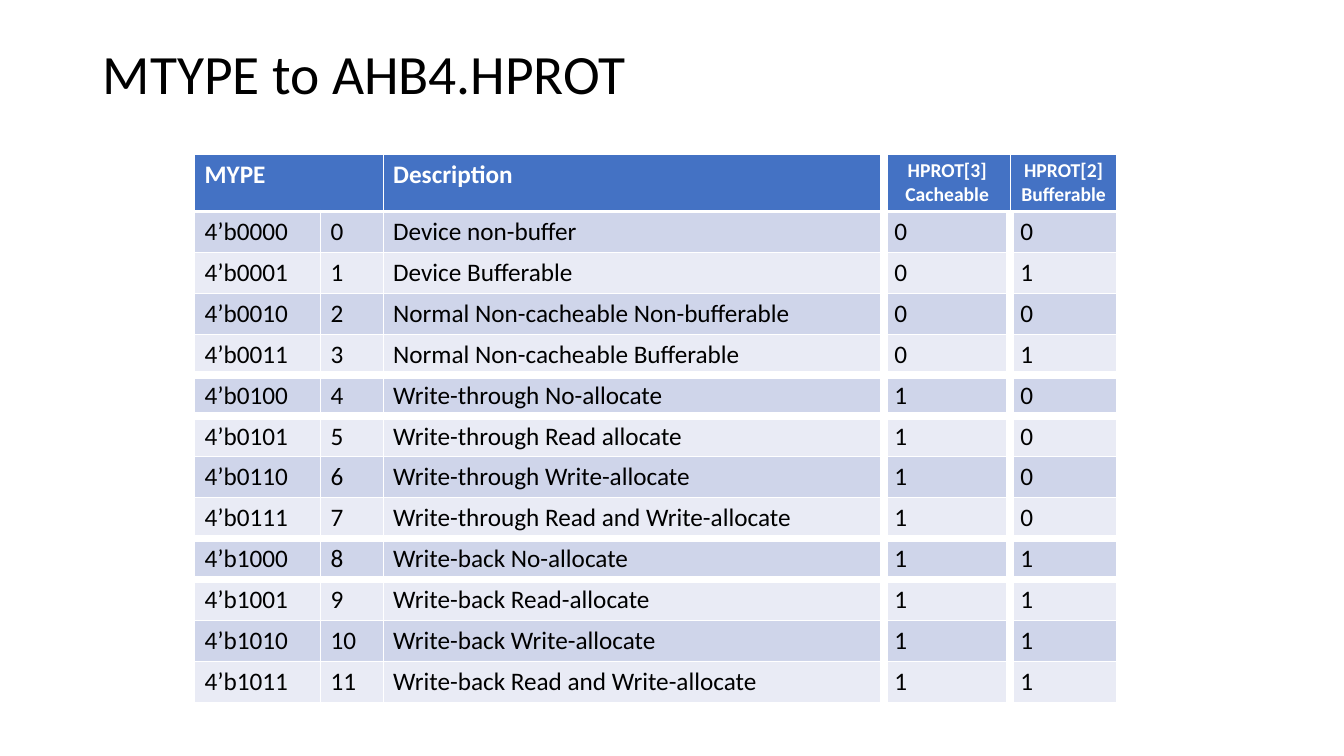
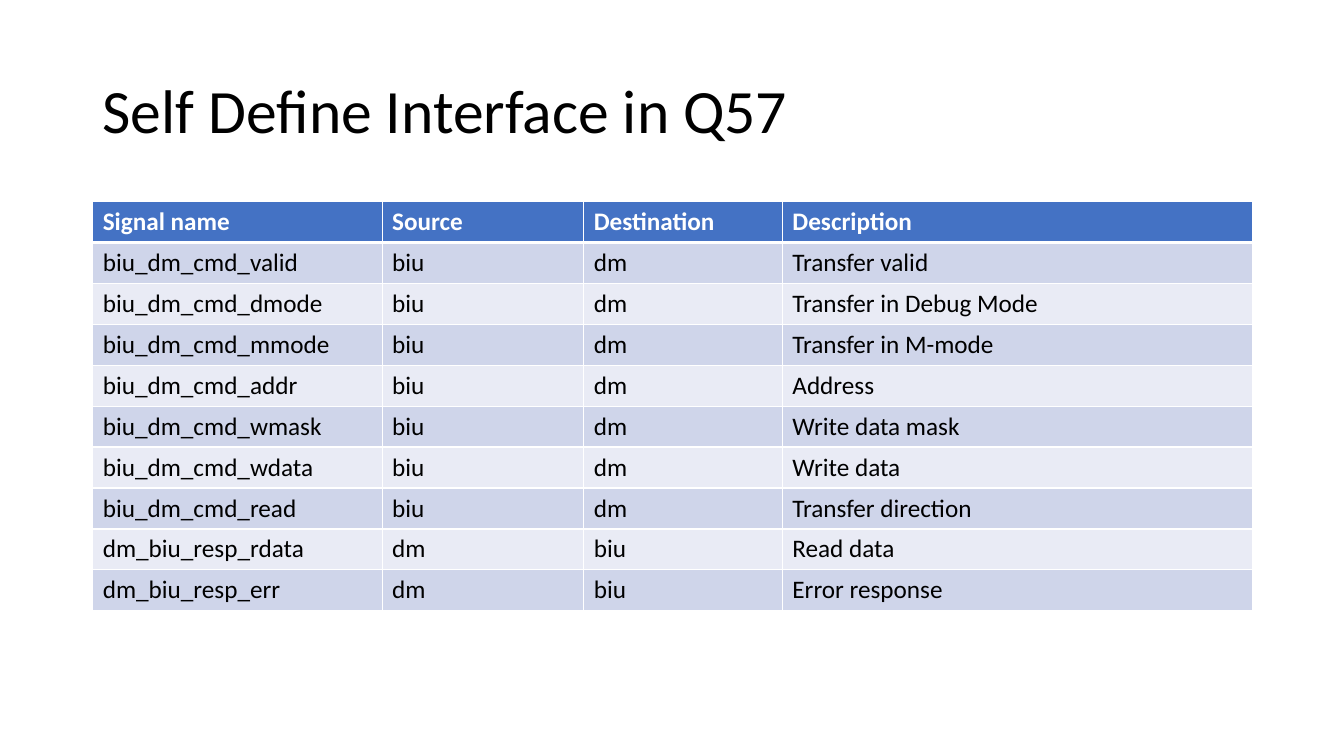
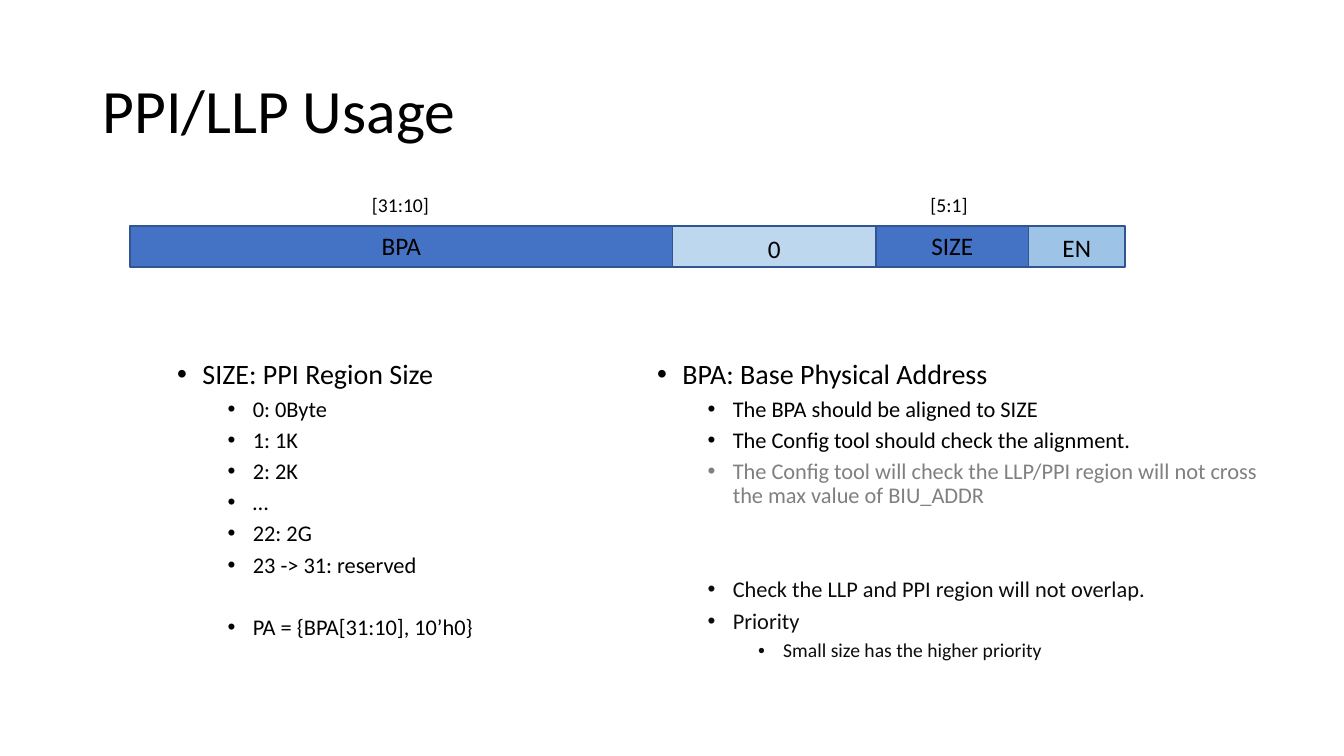
import pptx
import pptx.dml.color
import pptx.enum.shapes
import pptx.enum.text
import pptx.oxml
import pptx.oxml.ns
import pptx.util
from pptx.util import Inches

FONT = "Calibri"
BLACK, WHITE, GREY, NEAR_BLACK = "000000", "FFFFFF", "808080", "0D0D0D"
BLUE, OUTLINE, PALE_BLUE, LIGHT_BLUE = "4472C4", "325491", "BDD7EE", "9DC3E6"
BANDS = ("CFD5EA", "E9EBF5")
LEFT, CONTENT_WIDTH = 0.92, 11.5
ALIGN = pptx.enum.text.PP_ALIGN
ANCHOR = pptx.enum.text.MSO_ANCHOR
THIN, HEADER_RULE, THICK = 1, 3, 6

# Bullet levels: indent, size, space before
LEVELS = ((0.25, 20, 10), (0.75, 16, 5), (1.25, 14, 5))

MTYPES = [
    ("Device non-buffer", "0", "0"),
    ("Device Bufferable", "0", "1"),
    ("Normal Non-cacheable Non-bufferable", "0", "0"),
    ("Normal Non-cacheable Bufferable", "0", "1"),
    ("Write-through No-allocate", "1", "0"),
    ("Write-through Read allocate", "1", "0"),
    ("Write-through Write-allocate", "1", "0"),
    ("Write-through Read and Write-allocate", "1", "0"),
    ("Write-back No-allocate", "1", "1"),
    ("Write-back Read-allocate", "1", "1"),
    ("Write-back Write-allocate", "1", "1"),
    ("Write-back Read and Write-allocate", "1", "1"),
]

SIGNALS = [
    ("Signal name", "Source", "Destination", "Description"),
    ("biu_dm_cmd_valid", "biu", "dm", "Transfer valid"),
    ("biu_dm_cmd_dmode", "biu", "dm", "Transfer in Debug Mode"),
    ("biu_dm_cmd_mmode", "biu", "dm", "Transfer in M-mode"),
    ("biu_dm_cmd_addr", "biu", "dm", "Address"),
    ("biu_dm_cmd_wmask", "biu", "dm", "Write data mask"),
    ("biu_dm_cmd_wdata", "biu", "dm", "Write data"),
    ("biu_dm_cmd_read", "biu", "dm", "Transfer direction"),
    ("dm_biu_resp_rdata", "dm", "biu", "Read data"),
    ("dm_biu_resp_err", "dm", "biu", "Error response"),
]

# Register fields: name, width, fill, text drop, bit range, bit range offset
FIELDS = [
    ("BPA", 5.38, BLUE, -0.01, "[31:10]", 2.3),
    ("0", 2.02, PALE_BLUE, 0.02, "", 0),
    ("SIZE", 1.51, BLUE, 0, "[5:1]", 0.44),
    ("EN", 0.96, LIGHT_BLUE, 0.01, "", 0),
]

# Bullets: level, text, colour, extra points above
SIZE_NOTES = [
    (0, "SIZE: PPI Region Size", BLACK, 0),
    (1, "0: 0Byte", BLACK, 0),
    (1, "1: 1K", BLACK, 0),
    (1, "2: 2K", BLACK, 0),
    (1, "…", BLACK, 0),
    (1, "22: 2G", BLACK, 0),
    (1, "23 -> 31: reserved", BLACK, 0),
    (1, "PA = {BPA[31:10], 10’h0}", BLACK, 22.5),
]
BPA_NOTES = [
    (0, "BPA: Base Physical Address", BLACK, 0),
    (1, "The BPA should be aligned to SIZE", BLACK, 0),
    (1, "The Config tool should check the alignment.", BLACK, 0),
    (1, "The Config tool will check the LLP/PPI region will not cross "
        "the max value of BIU_ADDR", GREY, 0),
    (1, "Check the LLP and PPI region will not overlap.", NEAR_BLACK, 45),
    (1, "Priority", NEAR_BLACK, 0),
    (2, "Small size has the higher priority", NEAR_BLACK, 0),
]


def rgb(color):
    return pptx.dml.color.RGBColor.from_string(color)


def style(p, size, color=BLACK, bold=False, align=None):
    p.alignment = align
    for r in p.runs:
        r.font.name = FONT
        r.font.size = pptx.util.Pt(size)
        r.font.bold = bold
        r.font.color.rgb = rgb(color)


def add_text(s, x, y, w, h, text, size, anchor=ANCHOR.TOP):
    tf = s.shapes.add_textbox(Inches(x), Inches(y), Inches(w), Inches(h)).text_frame
    tf.word_wrap = True
    tf.vertical_anchor = anchor
    tf.text = text
    p = tf.paragraphs[0]
    p.line_spacing = 0.9
    style(p, size)


def add_slide(prs, title, title_height=1.45, title_size=44):
    s = prs.slides.add_slide(prs.slide_layouts[6])
    add_text(s, LEFT, 0.4, CONTENT_WIDTH, title_height, title, title_size, ANCHOR.MIDDLE)
    return s


def set_borders(cell, **widths):
    """Draw white borders; widths in points by side (L, R, T, B)."""
    tcPr = cell._tc.get_or_add_tcPr()
    for side in "LRTB":
        tcPr.append(pptx.oxml.parse_xml(
            f'<a:ln{side} {pptx.oxml.ns.nsdecls("a")} w="{pptx.util.Pt(widths[side])}">'
            f'<a:solidFill><a:srgbClr val="{WHITE}"/></a:solidFill></a:ln{side}>'))


def add_table(s, x, y, col_widths, row_heights, rows, sizes, aligns, h_rules, v_rule):
    """Banded table; sizes and aligns style the header, h_rules maps a row edge
    and v_rule(row, edge) a column edge to its border width."""
    table = s.shapes.add_table(len(rows), len(col_widths), Inches(x), Inches(y),
                               Inches(sum(col_widths)), Inches(sum(row_heights))).table
    for column, width in zip(table.columns, col_widths):
        column.width = Inches(width)
    for i, (row, height) in enumerate(zip(rows, row_heights)):
        table.rows[i].height = Inches(height)
        for j, text in enumerate(row):
            cell = table.cell(i, j)
            cell.text_frame.text = text
            for p in cell.text_frame.paragraphs:
                if i == 0:
                    style(p, sizes[j], WHITE, True, aligns[j])
                else:
                    style(p, 18)
            set_borders(cell, L=v_rule(i, j), R=v_rule(i, j + 1),
                        T=h_rules.get(i, THIN), B=h_rules.get(i + 1, THIN))
            cell.fill.solid()
            cell.fill.fore_color.rgb = rgb(BANDS[(i - 1) % 2] if i else BLUE)
    return table


def mtype_slide(prs):
    s = add_slide(prs, "MTYPE to AHB4.HPROT", 0.71, 39.6)
    rows = [("MYPE", "", "Description", "HPROT[3]\nCacheable", "HPROT[2]\nBufferable")]
    rows += [(f"4’b{n:04b}", str(n), *row) for n, row in enumerate(MTYPES)]
    h_rules = {1: HEADER_RULE, **dict.fromkeys((5, 6, 9, 10), THICK)}
    row_heights = [0.57] + [4.87 / len(MTYPES)] * len(MTYPES)
    table = add_table(
        s, 1.93, 1.53, [1.25, 0.62, 4.97, 1.25, 1.06], row_heights, rows,
        [18, 18, 18, 14, 14], [None] * 3 + [ALIGN.CENTER] * 2, h_rules,
        lambda i, edge: THICK if edge == 3 or (edge == 4 and i) else THIN)
    table.cell(0, 0).merge(table.cell(0, 1))


def signal_slide(prs):
    s = add_slide(prs, "Self Define Interface in Q57")
    add_table(s, LEFT, 2, [2.87, 2, 1.97, 4.66], [4.06 / len(SIGNALS)] * len(SIGNALS),
              SIGNALS, [18] * 4, [None] * 4, {1: HEADER_RULE}, lambda i, edge: THIN)


def add_register(s, x, y, h):
    """Row of register fields, with bit ranges above some of them."""
    for name, w, fill, drop, bits, bits_offset in FIELDS:
        sp = s.shapes.add_shape(pptx.enum.shapes.MSO_SHAPE.RECTANGLE,
                                Inches(x), Inches(y), Inches(w), Inches(h))
        sp.shadow.inherit = False
        sp.fill.solid()
        sp.fill.fore_color.rgb = rgb(fill)
        sp.line.color.rgb = rgb(OUTLINE)
        sp.line.width = pptx.util.Pt(1)
        tf = sp.text_frame
        tf.vertical_anchor = ANCHOR.TOP
        tf.margin_top = Inches(0.05 + drop)
        tf.margin_bottom = 0
        tf.text = name
        style(tf.paragraphs[0], 18, align=ALIGN.CENTER)
        if bits:
            add_text(s, x + bits_offset, y - 0.35, 0.79, 0.41, bits, 14)
        x += w


def add_bullets(s, x, y, w, h, notes):
    tf = s.shapes.add_textbox(Inches(x), Inches(y), Inches(w), Inches(h)).text_frame
    tf.word_wrap = True
    tf.text = "\n".join(text for _, text, _, _ in notes)
    for p, (level, _, color, gap) in zip(tf.paragraphs, notes):
        indent, size, before = LEVELS[level]
        p.level = level
        p.line_spacing = 0.9
        p.space_before = pptx.util.Pt(before + gap)
        style(p, size, color)
        pPr = p._p.get_or_add_pPr()
        pPr.set("marL", str(Inches(indent)))
        pPr.set("indent", str(Inches(-0.25)))
        for xml in ('<a:buFont {} typeface="Arial"/>', '<a:buChar {} char="•"/>'):
            pPr.append(pptx.oxml.parse_xml(xml.format(pptx.oxml.ns.nsdecls("a"))))


def usage_slide(prs):
    s = add_slide(prs, "PPI/LLP Usage")
    add_register(s, 1.29, 2.24, 0.41)
    add_bullets(s, 1.66, 3.53, 4.14, 3.23, SIZE_NOTES)
    add_bullets(s, 6.42, 3.53, 6.2, 3.73, BPA_NOTES)


def main():
    prs = pptx.Presentation()
    prs.slide_width = Inches(13.33)
    prs.slide_height = Inches(7.5)
    mtype_slide(prs)
    signal_slide(prs)
    usage_slide(prs)
    prs.save("out.pptx")


if __name__ == "__main__":
    main()
